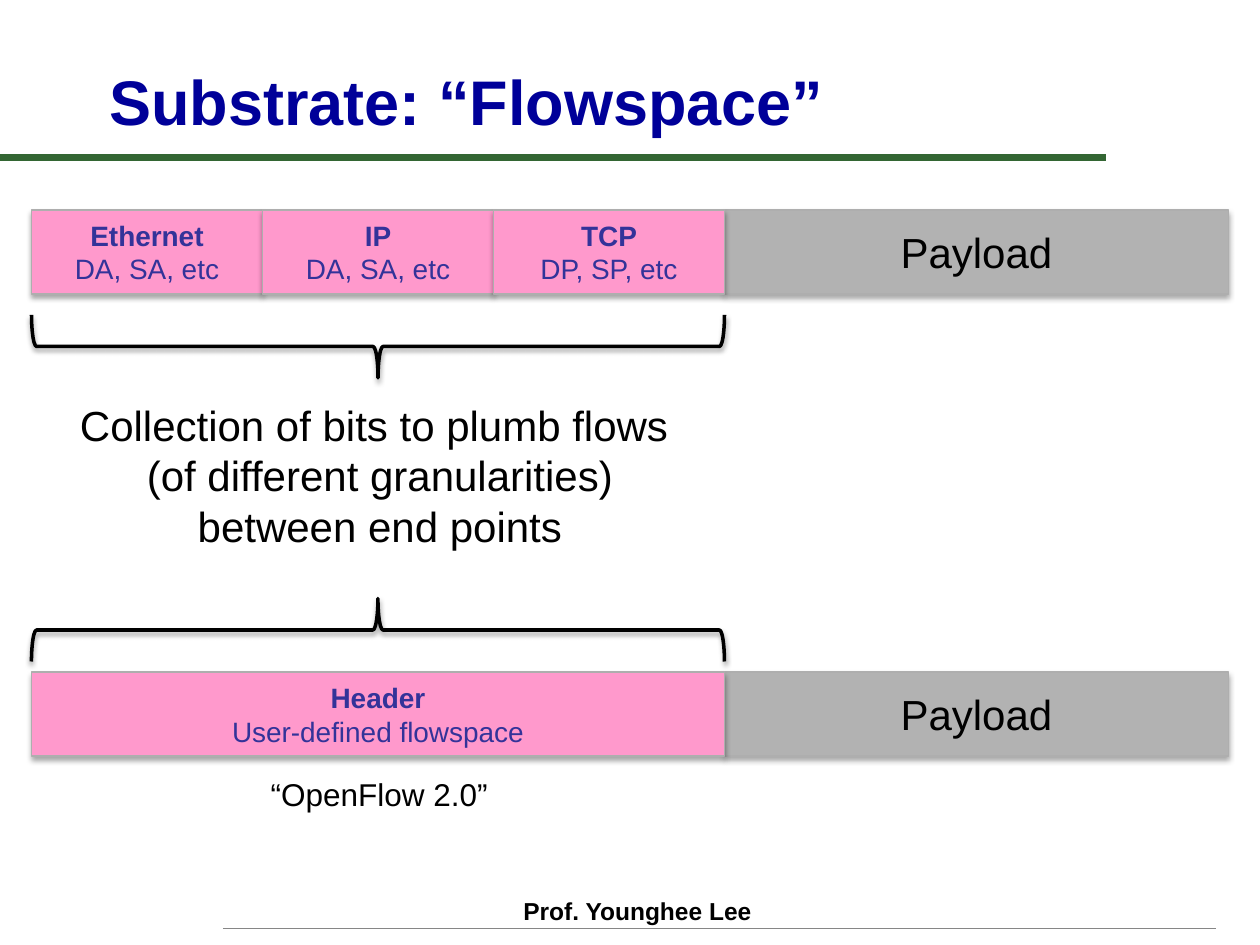
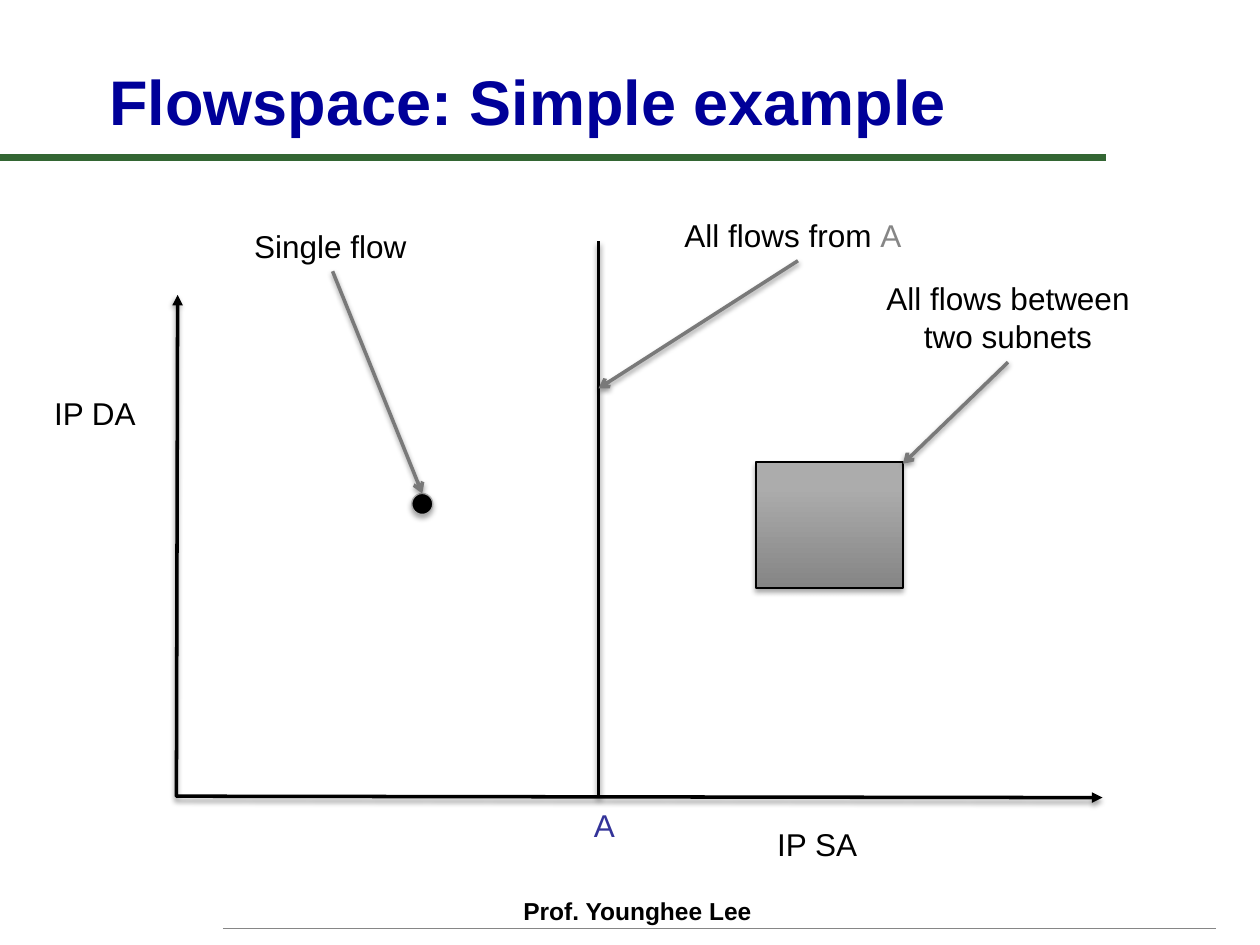
from dataclasses import dataclass
from typing import NamedTuple

from lxml.etree import SubElement
from pptx import Presentation
from pptx.dml.color import RGBColor
from pptx.enum.shapes import MSO_CONNECTOR, MSO_SHAPE
from pptx.enum.text import MSO_ANCHOR, PP_ALIGN
from pptx.oxml.ns import qn
from pptx.util import Pt

FONT = "Arial"
BLACK = "000000"
TITLE_BLUE = "000099"
RULE_GREEN = "336633"
RULE_GRAY = "868686"
FIELD_PINK = "FF99CC"
FIELD_TEXT = "333399"
PAYLOAD_GRAY = "B2B2B2"
BOX_EDGE = "AEAEAE"
POINTER_GRAY = "797979"


class Run(NamedTuple):
    text: str
    size: float = 18
    color: str = BLACK
    bold: bool = False


class Shadow(NamedTuple):
    opacity: int
    distance: float


BOX_SHADOW = Shadow(35, 1.8)
LINE_SHADOW = Shadow(38, 1.6)


@dataclass
class Area:
    left: float
    top: float
    width: float
    height: float

    def lengths(self) -> tuple:
        return Pt(self.left), Pt(self.top), Pt(self.width), Pt(self.height)


@dataclass
class Field:
    """A part of a packet: a bold name over its contents."""
    name: str
    contents: str
    width: float


@dataclass
class Label:
    area: Area
    lines: list
    align: PP_ALIGN = PP_ALIGN.LEFT
    wrap: bool = False


def rgb(color: str) -> RGBColor:
    return RGBColor.from_string(color)


def write(frame, lines: list, align=PP_ALIGN.LEFT) -> None:
    """Fill a text frame; each line is a list of runs."""
    for index, runs in enumerate(lines):
        paragraph = frame.add_paragraph() if index else frame.paragraphs[0]
        paragraph.alignment = align
        for item in runs:
            run = paragraph.add_run()
            run.text = item.text
            run.font.name = FONT
            run.font.size = Pt(item.size)
            run.font.bold = item.bold
            run.font.color.rgb = rgb(item.color)


def style_line(shape, color: str, width: float, shadow: Shadow = None,
               head: str = None, tail: str = None) -> None:
    """Set line, arrowheads and shadow; without a shadow the effects stay empty."""
    shape.line.color.rgb = rgb(color)
    shape.line.width = Pt(width)
    properties = shape._element.spPr
    line = properties.find(qn("a:ln"))
    for tag, kind in (("a:headEnd", head), ("a:tailEnd", tail)):
        if kind:
            SubElement(line, qn(tag), type=kind)
    effects = SubElement(properties, qn("a:effectLst"))
    if shadow:
        outer = SubElement(effects, qn("a:outerShdw"), blurRad=str(Pt(3.1)),
                           dist=str(Pt(shadow.distance)), dir="5400000", rotWithShape="0")
        black = SubElement(outer, qn("a:srgbClr"), val=BLACK)
        SubElement(black, qn("a:alpha"), val=str(shadow.opacity * 1000))


def add_line(slide, start: tuple, end: tuple, color: str, width: float,
             shadow: Shadow = None, tail: str = None):
    line = slide.shapes.add_connector(
        MSO_CONNECTOR.STRAIGHT, *(Pt(value) for value in (*start, *end)))
    style_line(line, color, width, shadow, tail=tail)
    return line


def add_box(slide, area: Area, fill: str, lines: list = (),
            kind=MSO_SHAPE.RECTANGLE, edge: str = BOX_EDGE):
    box = slide.shapes.add_shape(kind, *area.lengths())
    box.fill.solid()
    box.fill.fore_color.rgb = rgb(fill)
    style_line(box, edge, 0.75, BOX_SHADOW)
    box.text_frame.vertical_anchor = MSO_ANCHOR.MIDDLE
    write(box.text_frame, lines, PP_ALIGN.CENTER)
    return box


def add_label(slide, label: Label):
    box = slide.shapes.add_textbox(*label.area.lengths())
    box.text_frame.word_wrap = label.wrap
    write(box.text_frame, label.lines, label.align)
    return box


def add_slide(presentation, title: str):
    """Add a slide with the shared title, rules and footer."""
    slide = presentation.slides.add_slide(presentation.slide_layouts[5])
    add_line(slide, (0, 90), (632, 90), RULE_GREEN, 4)
    add_line(slide, (127.4, 530.6), (694.6, 530.6), RULE_GRAY, 1)
    add_label(slide, Label(Area(292, 508.5, 150, 23.5),
                           [[Run("Prof. Younghee Lee", 14, bold=True)]]))
    heading = slide.shapes.title
    heading.left, heading.top, heading.width, heading.height = Area(
        55.4, 31.7, 586.8, 51).lengths()
    heading.text_frame.vertical_anchor = MSO_ANCHOR.BOTTOM
    write(heading.text_frame, [[Run(title, 36, TITLE_BLUE, True)]])
    return slide


PACKET_LEFT = 18
HEADER_WIDTH = 396
PAYLOAD_WIDTH = 288
PACKET_HEIGHT = 48


def add_packet(slide, top: float, fields: list) -> None:
    """Draw the payload, then the header fields from left to right."""
    add_box(slide, Area(PACKET_LEFT + HEADER_WIDTH, top, PAYLOAD_WIDTH, PACKET_HEIGHT),
            PAYLOAD_GRAY, [[Run("Payload", 24)]])
    left = PACKET_LEFT
    for field in fields:
        add_box(slide, Area(left, top, field.width, PACKET_HEIGHT), FIELD_PINK,
                [[Run(field.name, 16, FIELD_TEXT, True)],
                 [Run(field.contents, 16, FIELD_TEXT)]])
        left += field.width


def add_header_brace(slide, top: float, rotation: int) -> None:
    """Span the header with a right brace turned onto its side."""
    depth = 36
    left = PACKET_LEFT + (HEADER_WIDTH - depth) / 2
    unturned_top = top + (depth - HEADER_WIDTH) / 2
    brace = slide.shapes.add_shape(
        MSO_SHAPE.RIGHT_BRACE, *Area(left, unturned_top, depth, HEADER_WIDTH).lengths())
    brace.rotation = rotation
    brace.adjustments[0] = 0.08
    brace.fill.background()
    style_line(brace, BLACK, 2, LINE_SHADOW)


def build_substrate(presentation) -> None:
    slide = add_slide(presentation, "Substrate: “Flowspace”")
    third = HEADER_WIDTH / 3
    add_packet(slide, 120, [Field("Ethernet", "DA, SA, etc", third),
                            Field("IP", "DA, SA, etc", third),
                            Field("TCP", "DP, SP, etc", third)])
    add_header_brace(slide, 180, 90)
    add_label(slide, Label(
        Area(36.7, 224.6, 360.7, 94.3),
        [[Run(text, 24)] for text in ("Collection of bits to plumb flows ",
                                      "(of different granularities)",
                                      "between end points")],
        PP_ALIGN.CENTER))
    add_packet(slide, 384, [Field("Header", "User-defined flowspace", HEADER_WIDTH)])
    add_header_brace(slide, 342, 270)
    add_label(slide, Label(Area(147.6, 439.2, 146.2, 29), [[Run("“OpenFlow 2.0”")]]))


def add_axes(slide) -> None:
    builder = slide.shapes.build_freeform(Pt(101.5), Pt(168.5))
    builder.add_line_segments([(Pt(100.8), Pt(455)), (Pt(630), Pt(455.8))], close=False)
    axes = builder.convert_to_shape()
    axes.fill.background()
    style_line(axes, BLACK, 2, LINE_SHADOW, head="triangle", tail="triangle")


def add_pointer(slide, label, end: tuple):
    """Draw an arrow from the bottom middle of a label."""
    start = ((label.left + label.width / 2) / Pt(1), (label.top + label.height) / Pt(1))
    pointer = add_line(slide, start, end, POINTER_GRAY, 2, LINE_SHADOW, "arrow")
    pointer.begin_connect(label, 2)
    return pointer


def build_example(presentation) -> None:
    slide = add_slide(presentation, "Flowspace: Simple example")
    add_axes(slide)
    source_x = 342
    for label in (Label(Area(437, 468, 61.2, 29), [[Run("IP SA")]]),
                  Label(Area(23.8, 221.8, 62, 29), [[Run("IP DA")]]),
                  Label(Area(332.3, 457.2, 27.4, 29), [[Run("A", color=FIELD_TEXT)]])):
        add_label(slide, label)

    dot = add_box(slide, Area(235.3, 282, 12, 12), BLACK, kind=MSO_SHAPE.OVAL)
    single = add_label(slide, Label(Area(138.2, 126, 103.7, 29), [[Run("Single flow")]]))
    add_pointer(slide, single, (241.3, 282)).end_connect(dot, 0)

    add_line(slide, (source_x, 138), (source_x, 456), BLACK, 2, LINE_SHADOW)
    from_source = add_label(slide, Label(
        Area(384, 120, 144, 29),
        [[Run("All flows from "), Run("A", color=RULE_GRAY)]], wrap=True))
    add_pointer(slide, from_source, (source_x, 222))

    subnets = add_box(slide, Area(432, 264, 84, 72), BOX_EDGE, edge=BLACK)
    subnets.fill.gradient()
    subnets.fill.gradient_angle = 90
    for stop, (position, color) in zip(subnets.fill.gradient_stops,
                                       ((0, "858585"), (0.8, "ACACAC"))):
        stop.position = position
        stop.color.rgb = rgb(color)
    between = add_label(slide, Label(
        Area(498, 156, 156, 51), [[Run("All flows between two subnets")]],
        PP_ALIGN.CENTER, True))
    add_pointer(slide, between, (516, 265))


def main() -> None:
    presentation = Presentation()
    presentation.slide_width, presentation.slide_height = Pt(720), Pt(540)
    build_substrate(presentation)
    build_example(presentation)
    presentation.save("out.pptx")


if __name__ == "__main__":
    main()
